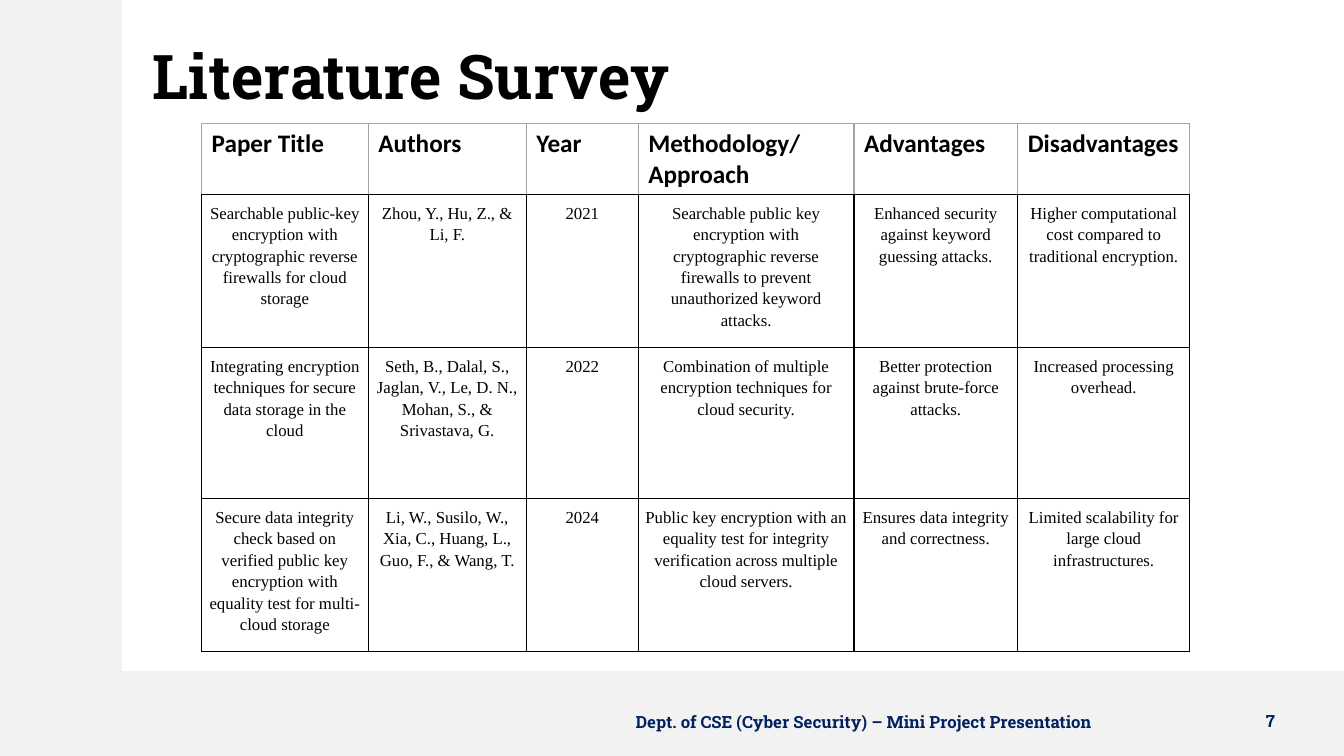
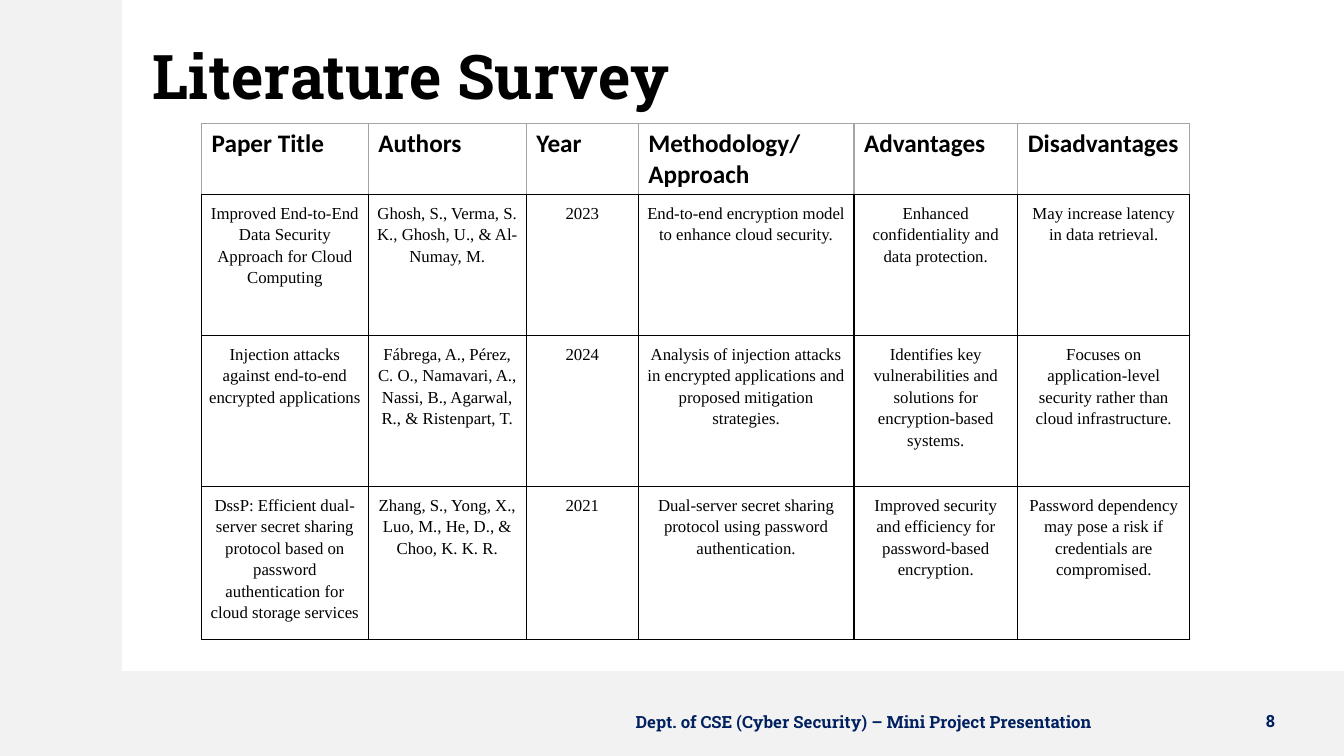
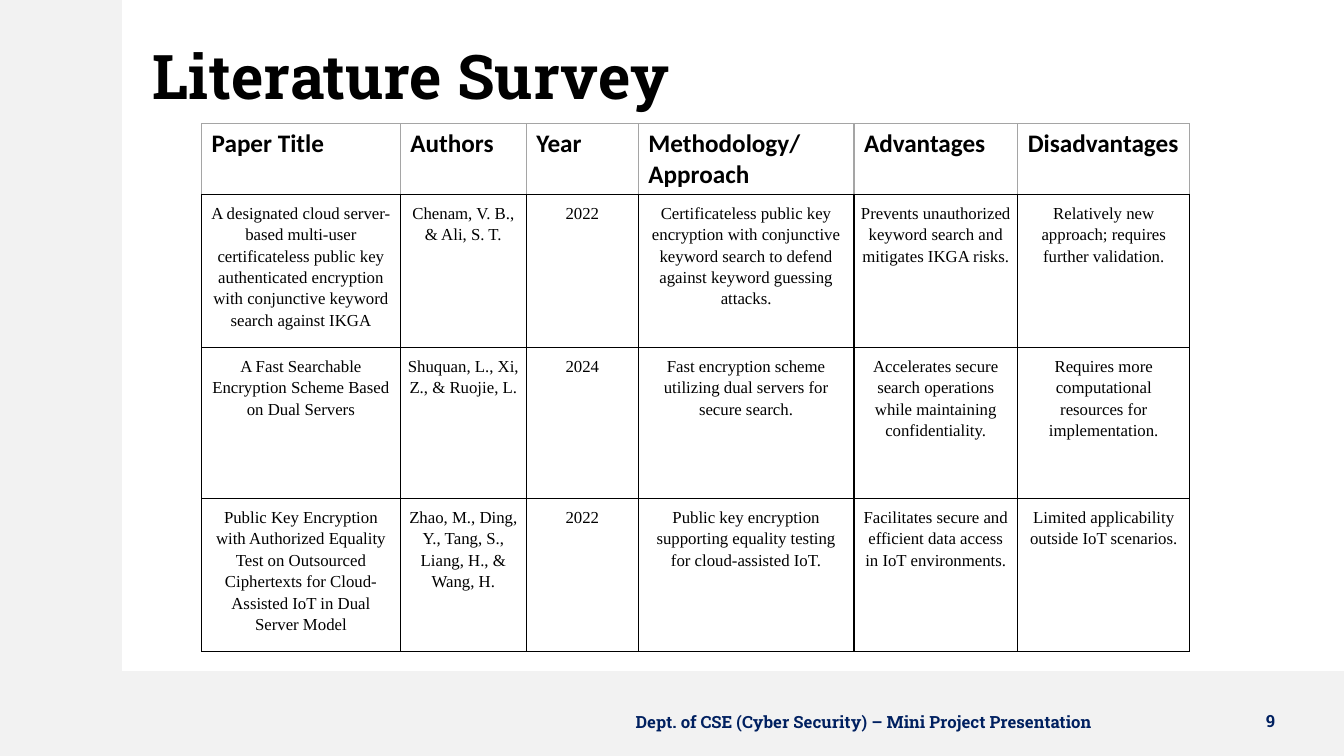
"""Build the literature survey slides of a cloud encryption project."""
from lxml.etree import SubElement as Sub
from pptx import Presentation
from pptx.dml.color import RGBColor
from pptx.enum.shapes import MSO_SHAPE as Kind
from pptx.enum.text import MSO_ANCHOR as Anchor, PP_ALIGN as Align
from pptx.oxml.ns import qn
from pptx.util import Pt

BLACK = RGBColor(0, 0, 0)
NAVY = RGBColor(0x00, 0x20, 0x60)
PALE = RGBColor(0xF2, 0xF2, 0xF2)
GREY = RGBColor(0xA5, 0xA5, 0xA5)
SLAB = "Roboto Slab"

HEADS = ["Paper Title", "Authors", "Year", "Methodology/ Approach",
         "Advantages", "Disadvantages"]
ROWS = [50.4, 100.8, 108, 91.44]
WIDTHS = [119, 113, 80, 154, 117, 123]
WIDE = [142, 90] + WIDTHS[2:]

PAGES = [
    (7, WIDTHS, [
        ["Searchable public-key encryption with cryptographic reverse firewalls for cloud storage",
         "Zhou, Y., Hu, Z., & Li, F.",
         "2021",
         "Searchable public key encryption with cryptographic reverse firewalls to prevent "
         "unauthorized keyword attacks.",
         "Enhanced security against keyword guessing attacks.",
         "Higher computational cost compared to traditional encryption."],
        ["Integrating encryption techniques for secure data storage in the cloud",
         "Seth, B., Dalal, S., Jaglan, V., Le, D. N., Mohan, S., & Srivastava, G.",
         "2022",
         "Combination of multiple encryption techniques for cloud security.",
         "Better protection against brute-force attacks.",
         "Increased processing overhead."],
        ["Secure data integrity check based on verified public key encryption with equality "
         "test for multi-cloud storage",
         "Li, W., Susilo, W., Xia, C., Huang, L., Guo, F., & Wang, T.",
         "2024",
         "Public key encryption with an equality test for integrity verification across "
         "multiple cloud servers.",
         "Ensures data integrity and correctness.",
         "Limited scalability for large cloud infrastructures."],
    ]),
    (8, WIDTHS, [
        ["Improved End-to-End Data Security Approach for Cloud Computing",
         "Ghosh, S., Verma, S. K., Ghosh, U., & Al-Numay, M.",
         "2023",
         "End-to-end encryption model to enhance cloud security.",
         "Enhanced confidentiality and data protection.",
         "May increase latency in data retrieval."],
        ["Injection attacks against end-to-end encrypted applications",
         "Fábrega, A., Pérez, C. O., Namavari, A., Nassi, B., Agarwal, R., & Ristenpart, T.",
         "2024",
         "Analysis of injection attacks in encrypted applications and proposed mitigation "
         "strategies.",
         "Identifies key vulnerabilities and solutions for encryption-based systems.",
         "Focuses on application-level security rather than cloud infrastructure."],
        ["DssP: Efficient dual-server secret sharing protocol based on password "
         "authentication for cloud storage services",
         "Zhang, S., Yong, X., Luo, M., He, D., & Choo, K. K. R.",
         "2021",
         "Dual-server secret sharing protocol using password authentication.",
         "Improved security and efficiency for password-based encryption.",
         "Password dependency may pose a risk if credentials are compromised."],
    ]),
    (9, WIDE, [
        ["A designated cloud server-based multi-user certificateless public key "
         "authenticated encryption with conjunctive keyword search against IKGA",
         "Chenam, V. B., & Ali, S. T.",
         "2022",
         "Certificateless public key encryption with conjunctive keyword search to defend "
         "against keyword guessing attacks.",
         "Prevents unauthorized keyword search and mitigates IKGA risks.",
         "Relatively new approach; requires further validation."],
        ["A Fast Searchable Encryption Scheme Based on Dual Servers",
         "Shuquan, L., Xi, Z., & Ruojie, L.",
         "2024",
         "Fast encryption scheme utilizing dual servers for secure search.",
         "Accelerates secure search operations while maintaining confidentiality.",
         "Requires more computational resources for implementation."],
        ["Public Key Encryption with Authorized Equality Test on Outsourced Ciphertexts "
         "for Cloud‐Assisted IoT in Dual Server Model",
         "Zhao, M., Ding, Y., Tang, S., Liang, H., & Wang, H.",
         "2022",
         "Public key encryption supporting equality testing for cloud-assisted IoT.",
         "Facilitates secure and efficient data access in IoT environments.",
         "Limited applicability outside IoT scenarios."],
    ]),
]


def write(frame, text, font=SLAB, size=12, color=BLACK, bold=True,
          align=Align.LEFT, lead=1.0):
    """Put formatted text in a text frame."""
    frame.word_wrap = True
    para = frame.paragraphs[0]
    para.alignment = align
    para.line_spacing = lead
    run = para.add_run()
    run.text = text
    run.font.name = font
    run.font.size = Pt(size)
    run.font.bold = bold
    run.font.color.rgb = color


def label(slide, box, text, **style):
    """Add a text box centred on its height."""
    frame = slide.shapes.add_textbox(*map(Pt, box)).text_frame
    frame.vertical_anchor = Anchor.MIDDLE
    write(frame, text, **style)


def band(slide, box):
    """Add a pale background band."""
    shape = slide.shapes.add_shape(Kind.RECTANGLE, *map(Pt, box))
    shape.shadow.inherit = False
    shape.fill.solid()
    shape.fill.fore_color.rgb = PALE
    shape.line.color.rgb = PALE
    shape.line.width = Pt(1)


def frame_page(slide, page):
    """Add the bands, title and footer that all slides share."""
    band(slide, (-0.5, 479.5, 961, 60))
    band(slide, (0, 0, 86.5, 540))
    label(slide, (102, 4.5, 828, 104.4), "Literature Survey", size=44, lead=0.9)
    foot = dict(color=NAVY, align=Align.CENTER)
    label(slide, (360, 501, 514, 29),
          "Dept. of CSE (Cyber Security) – Mini Project Presentation", **foot)
    label(slide, (885, 500, 45, 29), str(page), **foot)


def edge(cell, top):
    """Draw the cell borders, grey for the head row except below."""
    props = cell._tc.get_or_add_tcPr()
    for side in "LRTB":
        line = Sub(props, qn(f"a:ln{side}"), w=str(Pt(1)))
        fill = Sub(line, qn("a:solidFill"))
        color = GREY if top and side != "B" else BLACK
        Sub(fill, qn("a:srgbClr"), val=str(color))
    cell.fill.background()


def fill_cell(cell, text, top):
    """Set the text, margins and borders of a cell."""
    side, rise = (7.2, 3.6) if top else (5, 5)
    cell.margin_left = cell.margin_right = Pt(side)
    cell.margin_top = cell.margin_bottom = Pt(rise)
    if top:
        write(cell.text_frame, text, font="Calibri", size=18)
    else:
        write(cell.text_frame, text, font="Times New Roman", bold=False,
              align=Align.CENTER, lead=1.15)
    edge(cell, top)


def survey(slide, widths, papers):
    """Add the table of papers."""
    box = (144, 88.5, sum(widths), sum(ROWS))
    table = slide.shapes.add_table(len(ROWS), len(widths), *map(Pt, box)).table
    table.first_row = table.horz_banding = False
    for col, width in zip(table.columns, widths):
        col.width = Pt(width)
    for i, (row, texts) in enumerate(zip(table.rows, [HEADS] + papers)):
        row.height = Pt(ROWS[i])
        for cell, text in zip(row.cells, texts):
            fill_cell(cell, text, i == 0)


def main():
    """Build and save the slides."""
    deck = Presentation()
    deck.slide_width, deck.slide_height = Pt(960), Pt(540)
    for page, widths, papers in PAGES:
        slide = deck.slides.add_slide(deck.slide_layouts[6])
        frame_page(slide, page)
        survey(slide, widths, papers)
    deck.save("out.pptx")


if __name__ == "__main__":
    main()
